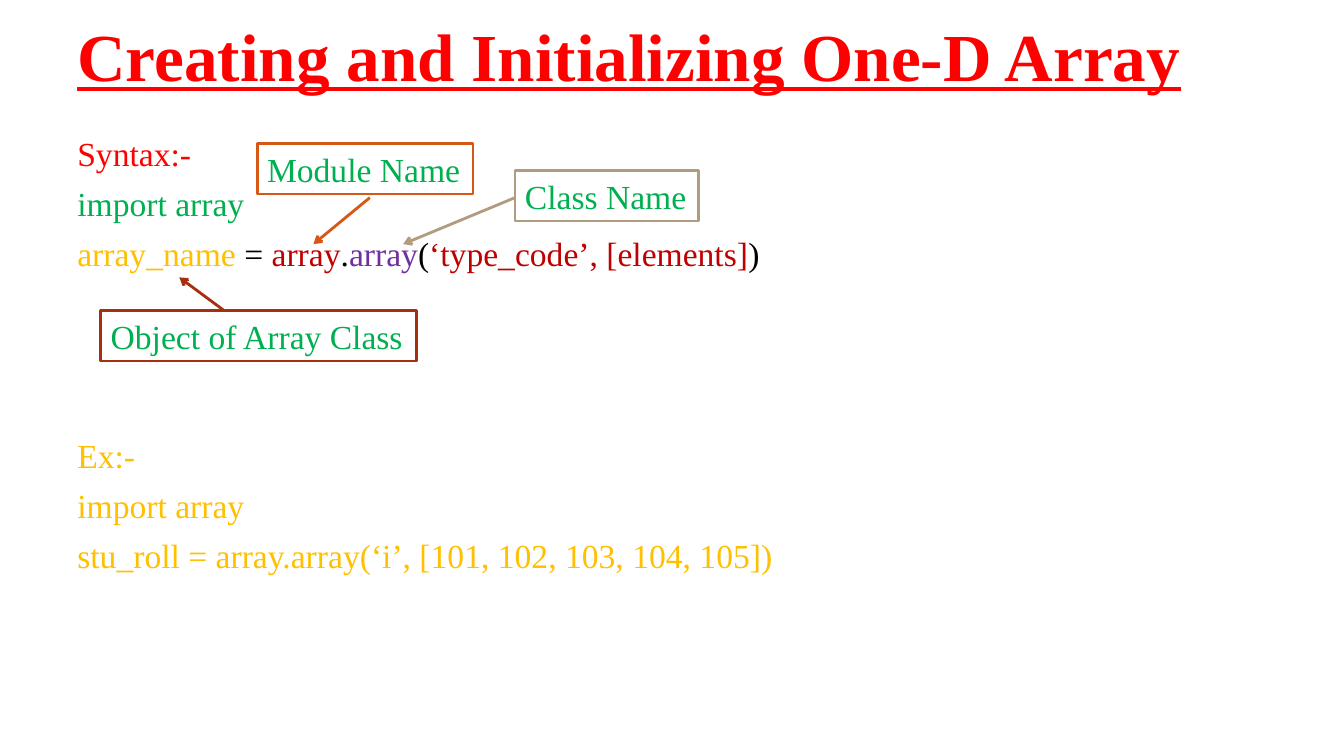
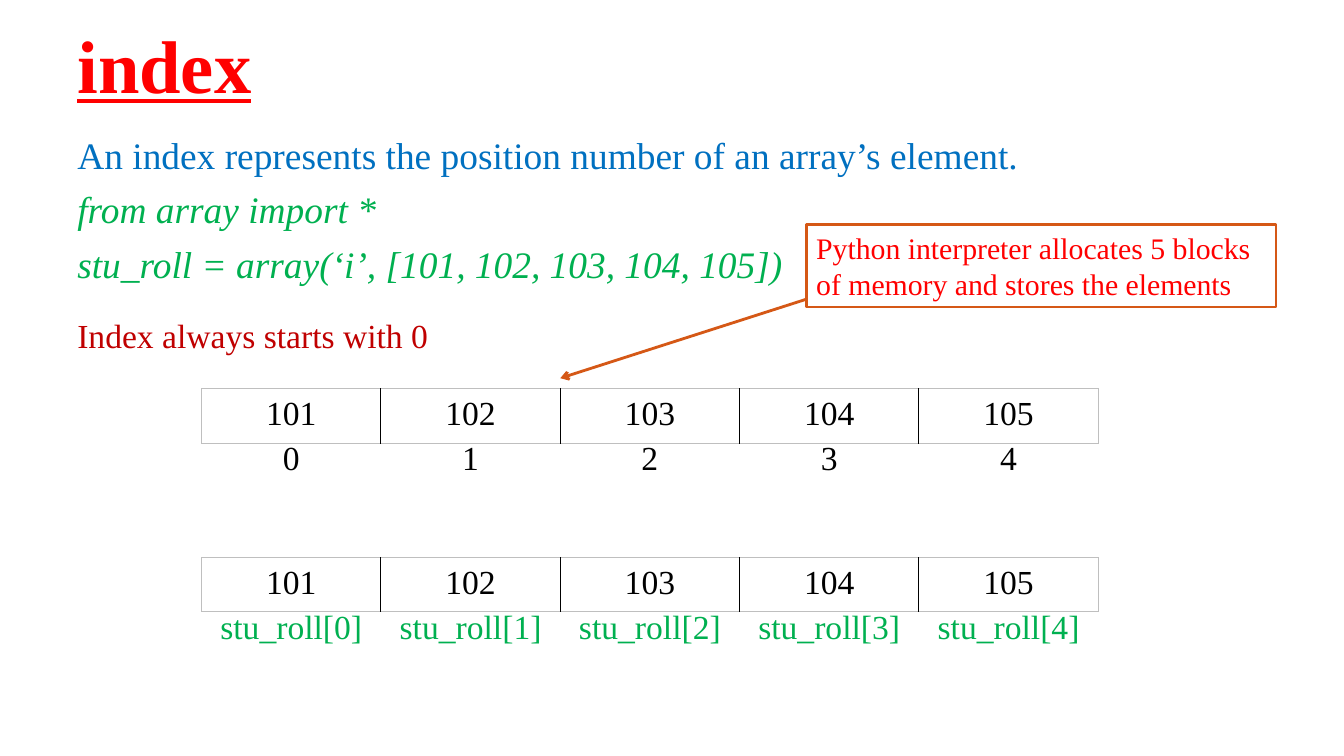
from dataclasses import dataclass

from lxml import etree
from pptx import Presentation
from pptx.dml.color import RGBColor
from pptx.enum.shapes import MSO_CONNECTOR, MSO_SHAPE
from pptx.enum.text import MSO_ANCHOR, MSO_AUTO_SIZE, PP_ALIGN
from pptx.oxml.ns import qn
from pptx.slide import Slide
from pptx.text.text import Font, TextFrame
from pptx.util import Cm, Pt

RECTANGLE = MSO_SHAPE.RECTANGLE
STRAIGHT = MSO_CONNECTOR.STRAIGHT
MIDDLE = MSO_ANCHOR.MIDDLE
FIT_SHAPE = MSO_AUTO_SIZE.SHAPE_TO_FIT_TEXT
LEFT, CENTER = PP_ALIGN.LEFT, PP_ALIGN.CENTER

COLORS = {
    "white": "FFFFFF",
    "black": "000000",
    "grid": "BFBFBF",
    "red": "FF0000",
    "dark red": "C00000",
    "green": "00B050",
    "gold": "FFC000",
    "blue": "0070C0",
    "purple": "7030A0",
    "orange": "D55816",
    "tan": "B19C7D",
    "brown": "A5300F",
}
FONT = "Times New Roman"
MARGIN, CONTENT_WIDTH, BODY_TOP = 1.7, 30.48, 3.33
TABLE_LEFT, COLUMN_WIDTH, ROW_HEIGHT = 5.08, 4.52, 1.37
LABEL_OFFSET = 1.13


@dataclass(frozen=True)
class Line:
    """A paragraph made of (text, colour) spans."""
    spans: tuple[tuple[str, str], ...]
    italic: bool = False
    space_before: float = 10


@dataclass(frozen=True)
class Callout:
    text: str
    left: float
    top: float
    width: float
    height: float
    outline: str
    text_color: str = "green"
    size: float = 24
    wrap: bool = False


@dataclass(frozen=True)
class Arrow:
    start: tuple[float, float]
    end: tuple[float, float]
    color: str


@dataclass(frozen=True)
class ArrayRow:
    """Array values with one label under each."""
    top: float
    labels: tuple[str, ...]
    label_color: str


def rgb(name: str) -> RGBColor:
    return RGBColor.from_string(COLORS[name])


def set_font(font: Font, size: float, color: str) -> None:
    font.name = FONT
    font.size = Pt(size)
    font.color.rgb = rgb(color)


def add_text_box(slide: Slide, left: float, top: float,
                 width: float, height: float) -> TextFrame:
    box = slide.shapes.add_textbox(Cm(left), Cm(top), Cm(width), Cm(height))
    box.text_frame.word_wrap = True
    return box.text_frame


def add_title(slide: Slide, text: str, top: float, size: float) -> None:
    frame = add_text_box(slide, MARGIN, top, CONTENT_WIDTH, 3.18)
    frame.vertical_anchor = MIDDLE
    title = frame.paragraphs[0]
    title.text = text
    title.line_spacing = 0.9
    set_font(title.font, size, "red")
    title.font.bold = title.font.underline = True


def add_body(slide: Slide, lines: list[Line], height: float, size: float) -> None:
    frame = add_text_box(slide, MARGIN, BODY_TOP, CONTENT_WIDTH, height)
    for index, line in enumerate(lines):
        paragraph = frame.add_paragraph() if index else frame.paragraphs[0]
        paragraph.line_spacing = 0.9
        paragraph.space_before = Pt(line.space_before)
        set_font(paragraph.font, size, line.spans[0][1])
        paragraph.font.italic = line.italic
        for text, color in line.spans:
            run = paragraph.add_run()
            run.text = text
            if len(line.spans) > 1:
                run.font.color.rgb = rgb(color)


def add_callout(slide: Slide, callout: Callout) -> None:
    box = slide.shapes.add_shape(RECTANGLE, Cm(callout.left), Cm(callout.top),
                                 Cm(callout.width), Cm(callout.height))
    box.shadow.inherit = False
    box.fill.solid()
    box.fill.fore_color.rgb = rgb("white")
    box.line.color.rgb = rgb(callout.outline)
    box.line.width = Pt(2)
    frame = box.text_frame
    frame.word_wrap = callout.wrap
    frame.auto_size = FIT_SHAPE
    paragraph = frame.paragraphs[0]
    paragraph.text = callout.text
    paragraph.alignment = LEFT
    set_font(paragraph.font, callout.size, callout.text_color)


def add_arrow(slide: Slide, arrow: Arrow) -> None:
    points = (Cm(value) for value in arrow.start + arrow.end)
    connector = slide.shapes.add_connector(STRAIGHT, *points)
    connector.line.color.rgb = rgb(arrow.color)
    connector.line.width = Pt(2)
    outline = connector.line._get_or_add_ln()
    etree.SubElement(outline, qn("a:tailEnd"), type="arrow")
    etree.SubElement(connector._element.spPr, qn("a:effectLst"))


def add_table_row(slide: Slide, top: float, texts: tuple[str, ...],
                  color: str, ruled: bool) -> None:
    count = len(texts)
    table = slide.shapes.add_table(1, count, Cm(TABLE_LEFT), Cm(top),
                                   Cm(COLUMN_WIDTH * count), Cm(ROW_HEIGHT)).table
    table.first_row = table.horz_banding = False
    for index, text in enumerate(texts):
        cell = table.cell(0, index)
        cell.margin_left = cell.margin_right = Cm(0.34)
        cell.margin_top = cell.margin_bottom = Cm(0.17)
        cell.fill.background()
        paragraph = cell.text_frame.paragraphs[0]
        paragraph.text = text
        paragraph.alignment = CENTER
        set_font(paragraph.font, 24, color)

        inner_sides = {"L": index > 0, "R": index < count - 1, "T": False, "B": False}
        properties = cell._tc.get_or_add_tcPr()
        for order, (side, inner) in enumerate(inner_sides.items()):
            border = etree.Element(qn(f"a:ln{side}"), w=str(Pt(1 if inner else 0.75)))
            if ruled:
                fill = etree.SubElement(border, qn("a:solidFill"))
                etree.SubElement(fill, qn("a:srgbClr"),
                                 val=COLORS["black" if inner else "grid"])
            else:
                etree.SubElement(border, qn("a:noFill"))
            properties.insert(order, border)


def build_creation_slide(slide: Slide) -> None:
    add_title(slide, "Creating and Initializing One-D Array", -0.08, 48)
    add_body(slide, [
        Line((("Syntax:-", "red"),)),
        Line((("import array", "green"),)),
        Line((("array_name ", "gold"), ("= ", "black"), ("array", "dark red"),
              (".", "black"), ("array", "purple"), ("(", "black"),
              ("‘type_code’, [elements]", "dark red"), (")", "black"))),
        Line((("Ex:-", "gold"),), space_before=118),
        Line((("import array", "gold"),)),
        Line((("stu_roll = array.array(‘i’, [101, 102, 103, 104, 105])", "gold"),)),
    ], 14.68, 24)
    for callout in (
        Callout("Module Name", 6.48, 3.61, 5.44, 1.28, "orange"),
        Callout("Class Name", 12.98, 4.29, 4.62, 1.28, "tan"),
        Callout("Object of Array Class", 2.54, 7.82, 7.95, 1.28, "brown"),
    ):
        add_callout(slide, callout)
    for arrow in (
        Arrow((5.64, 7.82), (4.52, 6.99), "brown"),
        Arrow((9.32, 4.98), (7.9, 6.15), "orange"),
        Arrow((12.98, 4.98), (10.16, 6.15), "tan"),
    ):
        add_arrow(slide, arrow)


def build_index_slide(slide: Slide) -> None:
    add_title(slide, "index", 0.15, 53.3)
    add_body(slide, [
        Line((("An index represents the position number of an array’s element.", "blue"),)),
        Line((("from array import *", "green"),), italic=True),
        Line((("stu_roll = array(‘i’, [101, 102, 103, 104, 105])", "green"),), italic=True),
    ], 5.89, 26.7)

    rule = add_text_box(slide, MARGIN, 7.82, 9.45, 1.28)
    rule.word_wrap = False
    rule.auto_size = FIT_SHAPE
    rule.paragraphs[0].text = "Index always starts with 0"
    set_font(rule.paragraphs[0].font, 24, "dark red")

    add_callout(slide, Callout(
        "Python interpreter allocates 5 blocks of memory and stores the elements",
        20.32, 5.66, 11.84, 2.08, "orange", "red", 21.3, wrap=True))
    add_arrow(slide, Arrow((20.32, 7.54), (14.12, 9.53), "orange"))

    positions = range(5)
    values = tuple(str(101 + position) for position in positions)
    for row in (
        ArrayRow(9.8, tuple(str(position) for position in positions), "black"),
        ArrayRow(14.05, tuple(f"stu_roll[{position}]" for position in positions), "green"),
    ):
        add_table_row(slide, row.top, values, "black", ruled=True)
        add_table_row(slide, row.top + LABEL_OFFSET, row.labels, row.label_color, ruled=False)


def main() -> None:
    presentation = Presentation()
    presentation.slide_width, presentation.slide_height = Cm(33.87), Cm(19.05)
    blank = presentation.slide_layouts[6]
    for build in (build_creation_slide, build_index_slide):
        build(presentation.slides.add_slide(blank))
    presentation.save("out.pptx")


if __name__ == "__main__":
    main()
